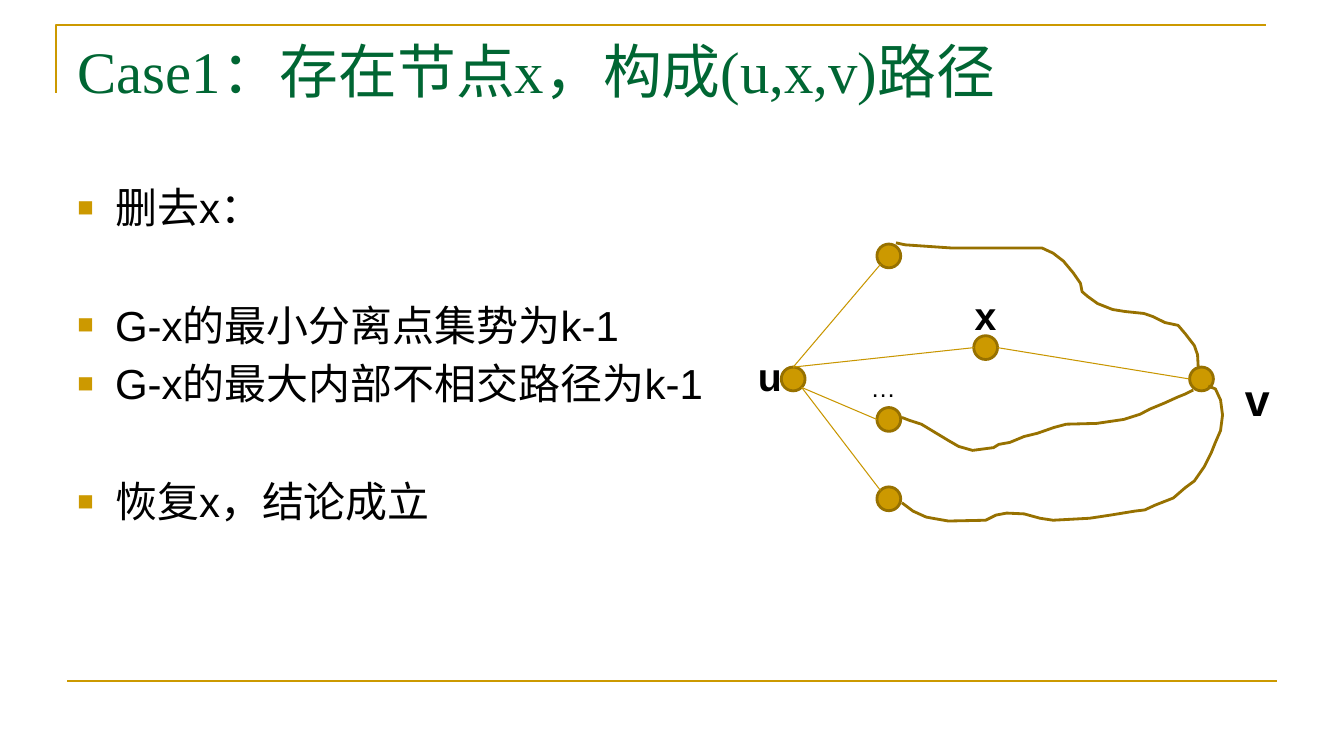
from lxml import etree
from pptx import Presentation
from pptx.dml.color import RGBColor
from pptx.enum.shapes import MSO_CONNECTOR, MSO_SHAPE
from pptx.enum.text import MSO_ANCHOR
from pptx.oxml.ns import qn
from pptx.util import Cm, Pt

STRAIGHT = MSO_CONNECTOR.STRAIGHT
OVAL = MSO_SHAPE.OVAL
TOP = MSO_ANCHOR.TOP

GOLD = RGBColor(0xCC, 0x99, 0x00)
DARK_GOLD = RGBColor(0x97, 0x71, 0x00)
EDGE_GOLD = RGBColor(0xC8, 0x96, 0x00)
GREEN = RGBColor(0x00, 0x66, 0x33)
BLACK = RGBColor(0x00, 0x00, 0x00)

TITLE = "Case1：存在节点x，构成(u,x,v)路径"
LINE_GAP, SECTION_GAP = 6, 48
STEPS = [  # text, space before
    ("删去x：", 0),
    ("G-x的最小分离点集势为k-1", SECTION_GAP),
    ("G-x的最大内部不相交路径为k-1", LINE_GAP),
    ("恢复x，结论成立", SECTION_GAP),
]

# Graph geometry in cm, relative to the graph box
RADIUS = 0.3
DIAGONAL = 0.71
NODES = {
    "u": (1.19, 3.45), "upper": (3.6, 0.35), "x": (6.04, 2.66),
    "middle": (3.6, 4.47), "v": (11.48, 3.45), "lower": (3.6, 6.47),
}
SIDES = {
    "top": (0, -1), "left": (-1, 0), "right": (1, 0),
    "top left": (-DIAGONAL, -DIAGONAL),
    "bottom left": (-DIAGONAL, DIAGONAL),
    "bottom right": (DIAGONAL, DIAGONAL),
}
EDGES = [
    ("u", "top", "upper", "bottom left"),
    ("u", "top", "x", "left"),
    ("u", "bottom right", "middle", "left"),
    ("u", "bottom right", "lower", "top left"),
    ("v", "left", "x", "right"),
]
PATHS_TO_V = [
    [(3.78, 0.02), (4.01, 0.07), (5.18, 0.15), (6.35, 0.15), (7.46, 0.15),
     (7.74, 0.28), (8, 0.48), (8.25, 0.78), (8.43, 1.04), (8.47, 1.25),
     (8.61, 1.37), (8.86, 1.55), (9.24, 1.7), (9.55, 1.75), (10.03, 1.8),
     (10.26, 1.88), (10.56, 2.03), (10.89, 2.1), (11.07, 2.31),
     (11.3, 2.61), (11.38, 2.84), (11.4, 3.2)],
    [(3.93, 4.42), (4.11, 4.49), (4.42, 4.59), (4.85, 4.85), (5.1, 5),
     (5.36, 5.15), (5.71, 5.25), (6.24, 5.18), (6.37, 5.1), (6.65, 5.05),
     (7.01, 4.9), (7.34, 4.82), (7.77, 4.67), (8.07, 4.59), (8.84, 4.57),
     (9.52, 4.47), (9.93, 4.34), (10.18, 4.21), (10.54, 4.06),
     (10.87, 3.91), (11.07, 3.83), (11.27, 3.73)],
    [(3.93, 6.57), (4.21, 6.78), (4.54, 6.93), (4.7, 6.96), (5.1, 7.03),
     (6.04, 7.01), (6.3, 6.88), (6.57, 6.83), (7.01, 6.85), (7.41, 6.96),
     (7.74, 7.01), (8.66, 6.96), (9.19, 6.88), (9.8, 6.78), (10.05, 6.75),
     (10.31, 6.63), (10.77, 6.45), (11.07, 6.19), (11.3, 6.02),
     (11.55, 5.66), (11.73, 5.3), (11.83, 5.05), (11.96, 4.75),
     (12.01, 4.36), (11.96, 3.98), (11.83, 3.7), (11.65, 3.63)],
]
LABELS = [  # text, left, top, width, height, size, bold
    ("…", 2.89, 3.15, 1.14, 1.02, 18, False),
    ("u", 0.05, 2.66, 1.12, 1.45, 28, True),
    ("v", 12.32, 3.15, 1.14, 1.63, 32, True),
    ("x", 5.51, 1.11, 1.07, 1.45, 28, True),
]


def add_text_frame(slide, left, top, width, height, wrap=True):
    box = slide.shapes.add_textbox(Cm(left), Cm(top), Cm(width), Cm(height))
    frame = box.text_frame
    frame.word_wrap = wrap
    frame.vertical_anchor = TOP
    return frame


def add_run(paragraph, text, size, color=BLACK, font="Arial", bold=False):
    run = paragraph.add_run()
    run.text = text
    run.font.name = font
    run.font.size = Pt(size)
    run.font.bold = bold
    run.font.color.rgb = color


def add_line(slide, start, end, color, weight):
    line = slide.shapes.add_connector(STRAIGHT, *map(Cm, start + end))
    line.line.color.rgb = color
    line.line.width = Pt(weight)
    etree.SubElement(line._element.spPr, qn("a:effectLst"))


def add_open_path(slide, points, color, weight):
    corners = [(Cm(x), Cm(y)) for x, y in points]
    builder = slide.shapes.build_freeform(*corners[0])
    builder.add_line_segments(corners[1:], close=False)
    path = builder.convert_to_shape()
    path.shadow.inherit = False
    path.fill.background()
    path.line.color.rgb = color
    path.line.width = Pt(weight)


def add_square_bullet(paragraph):
    props = paragraph._p.get_or_add_pPr()
    props.set("marL", str(Cm(0.95)))
    props.set("indent", str(-Cm(0.95)))
    color = etree.SubElement(props, qn("a:buClr"))
    etree.SubElement(color, qn("a:srgbClr"), val=str(GOLD))
    etree.SubElement(props, qn("a:buSzPct"), val="65000")
    etree.SubElement(props, qn("a:buFont"), typeface="Arial")
    etree.SubElement(props, qn("a:buChar"), char="■")


def add_frame(slide, left, top, width, height):
    # Corner above the title and rule at the foot
    add_open_path(slide, [(left, top + 1.7), (left, top),
                          (left + width, top)], GOLD, 1.5)
    foot = top + height
    add_line(slide, (left + 0.28, foot), (left + 0.28 + width, foot), GOLD, 1.5)


def add_title(slide, left, top, width, height):
    frame = add_text_frame(slide, left, top, width, height)
    add_run(frame.paragraphs[0], TITLE, 42, GREEN, "Times New Roman")


def add_steps(slide, left, top, width, height):
    frame = add_text_frame(slide, left, top, width, height)
    for index, (text, gap) in enumerate(STEPS):
        paragraph = frame.add_paragraph() if index else frame.paragraphs[0]
        add_square_bullet(paragraph)
        if gap:
            paragraph.space_before = Pt(gap)
        add_run(paragraph, text, 30)


def add_graph(slide, left, top):
    def side_point(node, side):
        (x, y), (dx, dy) = NODES[node], SIDES[side]
        return left + x + dx * RADIUS, top + y + dy * RADIUS

    # Nodes
    for x, y in NODES.values():
        node = slide.shapes.add_shape(
            OVAL, Cm(left + x - RADIUS), Cm(top + y - RADIUS),
            Cm(2 * RADIUS), Cm(2 * RADIUS))
        node.shadow.inherit = False
        node.fill.solid()
        node.fill.fore_color.rgb = GOLD
        node.line.color.rgb = DARK_GOLD
        node.line.width = Pt(2)

    # Straight edges
    for start, start_side, end, end_side in EDGES:
        add_line(slide, side_point(start, start_side),
                 side_point(end, end_side), EDGE_GOLD, 0.75)

    # Winding paths to v
    for points in PATHS_TO_V:
        add_open_path(slide, [(left + x, top + y) for x, y in points],
                      DARK_GOLD, 2)

    # Labels
    for text, x, y, width, height, size, bold in LABELS:
        frame = add_text_frame(slide, left + x, top + y, width, height, False)
        add_run(frame.paragraphs[0], text, size, bold=bold)


def main():
    deck = Presentation()
    deck.slide_width, deck.slide_height = Cm(33.87), Cm(19.05)
    slide = deck.slides.add_slide(deck.slide_layouts[6])
    add_frame(slide, 1.42, 0.64, 30.48, 16.51)
    add_title(slide, 1.7, 0.76, 30.48, 3.18)
    add_steps(slide, 1.7, 4.45, 30.48, 12.57)
    add_graph(slide, 18.8, 6.1)
    deck.save("out.pptx")


if __name__ == "__main__":
    main()
